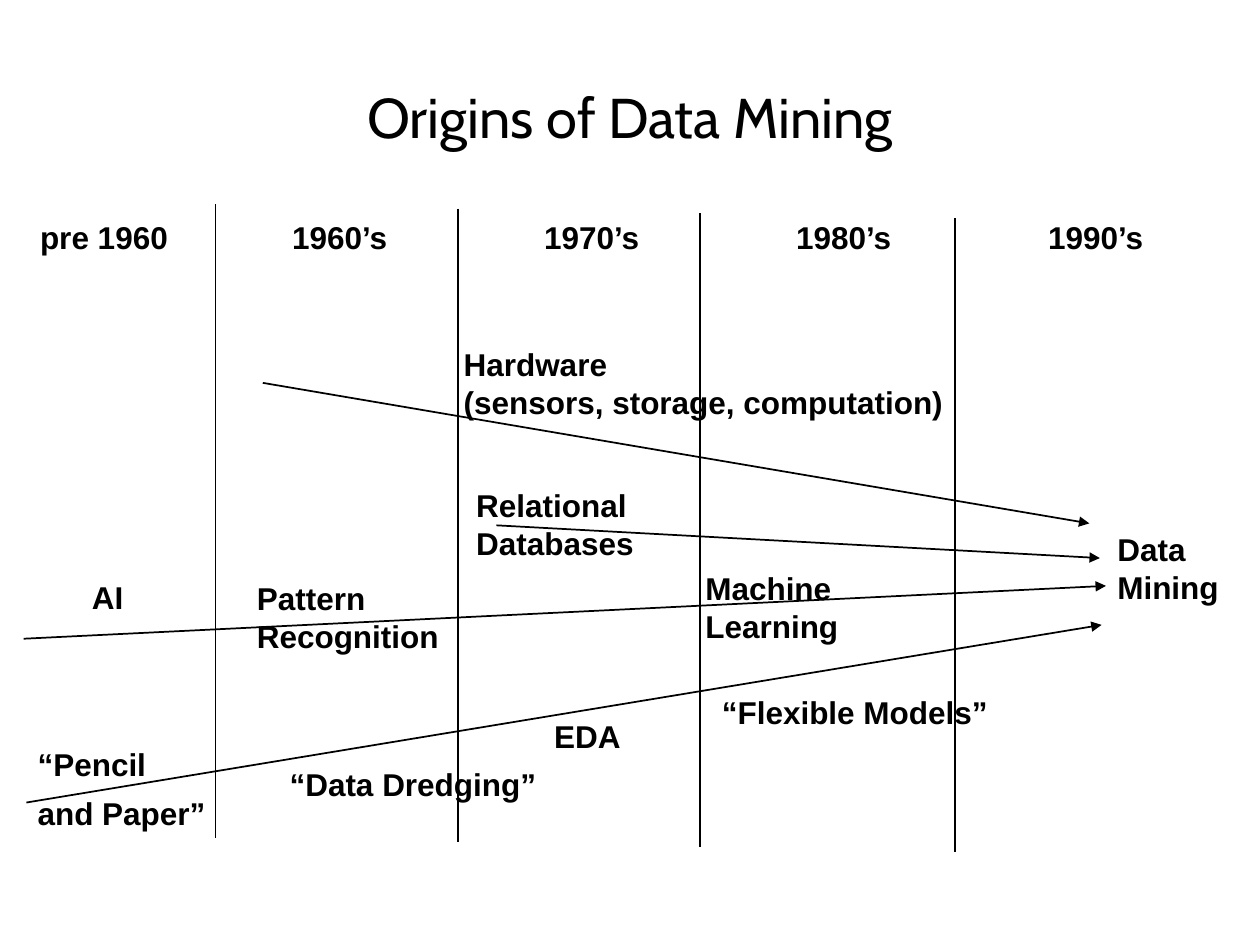
from lxml import etree
from pptx import Presentation
from pptx.dml.color import RGBColor
from pptx.enum.shapes import MSO_CONNECTOR
from pptx.enum.text import MSO_ANCHOR, MSO_AUTO_SIZE, PP_ALIGN
from pptx.oxml.ns import qn
from pptx.util import Pt

BLACK = RGBColor(0, 0, 0)
STRAIGHT = MSO_CONNECTOR.STRAIGHT
MIDDLE = MSO_ANCHOR.MIDDLE
CENTER = PP_ALIGN.CENTER
GROW = MSO_AUTO_SIZE.SHAPE_TO_FIT_TEXT

DECADES = ["pre 1960", "1960’s", "1970’s", "1980’s", "1990’s"]
DECADE_STEP = 144

# Left, top, width, height within the timeline, and wording
TOPICS = [
    (14.4, 305.3, 110.6, 58.3, "“Pencil\nand Paper”"),
    (309.6, 289.4, 53.3, 29.1, "EDA"),
    (405.4, 275.8, 176.4, 29.1, "“Flexible Models”"),
    (257.8, 77, 289.4, 50.9, "Hardware\n(sensors, storage, computation)"),
    (265, 157.7, 106.6, 50.9, "Relational\nDatabases"),
    (45.4, 210.2, 33.1, 29.1, "AI"),
    (139.7, 211, 119.5, 50.9, "Pattern\nRecognition"),
    (396, 205.2, 91.4, 50.9, "Machine\nLearning"),
    (158.4, 316.8, 165.6, 29.1, "“Data Dredging”"),
    (631.4, 182.9, 73.4, 50.9, "Data\nMining"),
]

# Start and end of each strand that leads to data mining
STRANDS = [
    (150.2, 102.2, 622.5, 182.5),
    (283.7, 183.6, 628.5, 202.3),
    (13.5, 248.4, 632, 218.2),
    (15.1, 342, 629.5, 240.5),
]

DIVIDER_LEFTS = [123.1, 261.8, 400.2, 545.6]
DIVIDER_HEIGHT = 362
DIVIDER_DROP = 2.7


def add_text(slide, left, top, width, height, text, size=18, font="Arial", bold=True):
    frame = slide.shapes.add_textbox(Pt(left), Pt(top), Pt(width), Pt(height)).text_frame
    frame.word_wrap = True
    frame.text = text
    for paragraph in frame.paragraphs:
        for run in paragraph.runs:
            run.font.size = Pt(size)
            run.font.name = font
            run.font.bold = bold
            run.font.color.rgb = BLACK
    return frame


def add_line(slide, x1, y1, x2, y2, arrow=False):
    line = slide.shapes.add_connector(STRAIGHT, Pt(x1), Pt(y1), Pt(x2), Pt(y2))
    line.line.color.rgb = BLACK
    line.line.width = Pt(1)
    properties = line.line._get_or_add_ln()
    if arrow:
        etree.SubElement(properties, qn("a:tailEnd"), type="triangle")
    etree.SubElement(properties.getparent(), qn("a:effectLst"))


def add_title(slide, left, top, width, height):
    frame = add_text(slide, left, top, width, height, "Origins of Data Mining",
                     size=32, font="Cabin", bold=False)
    frame.vertical_anchor = MIDDLE
    frame.paragraphs[0].alignment = CENTER


def add_decades(slide, left, top, width, height):
    """Set the decade labels on one line, at equal tab stops."""
    frame = add_text(slide, left, top, width, height, "\t".join(DECADES))
    properties = frame.paragraphs[0]._p.get_or_add_pPr()
    stops = etree.SubElement(properties, qn("a:tabLst"))
    for number in range(1, len(DECADES)):
        etree.SubElement(stops, qn("a:tab"), pos=str(Pt(number * DECADE_STEP)), algn="l")


def add_timeline(slide, left, top):
    """Draw the dividers, strands and topics below the decade labels."""
    for number, x in enumerate(DIVIDER_LEFTS):
        start = top + number * DIVIDER_DROP
        add_line(slide, left + x, start, left + x, start + DIVIDER_HEIGHT)
    for x1, y1, x2, y2 in STRANDS:
        add_line(slide, left + x1, top + y1, left + x2, top + y2, arrow=True)
    for x, y, width, height, text in TOPICS:
        frame = add_text(slide, left + x, top + y, width, height, text)
        frame.word_wrap = False
        frame.auto_size = GROW
        if text.startswith("“Pencil"):
            frame.paragraphs[1].space_before = Pt(6.9)


def main():
    presentation = Presentation()
    presentation.slide_width = Pt(720)
    presentation.slide_height = Pt(540)
    slide = presentation.slides.add_slide(presentation.slide_layouts[6])
    add_title(slide, 36, 21.6, 648, 90)
    add_decades(slide, 15.8, 121, 654.5, 29.1)
    add_timeline(slide, 0, 116.6)
    presentation.save("out.pptx")


if __name__ == "__main__":
    main()
